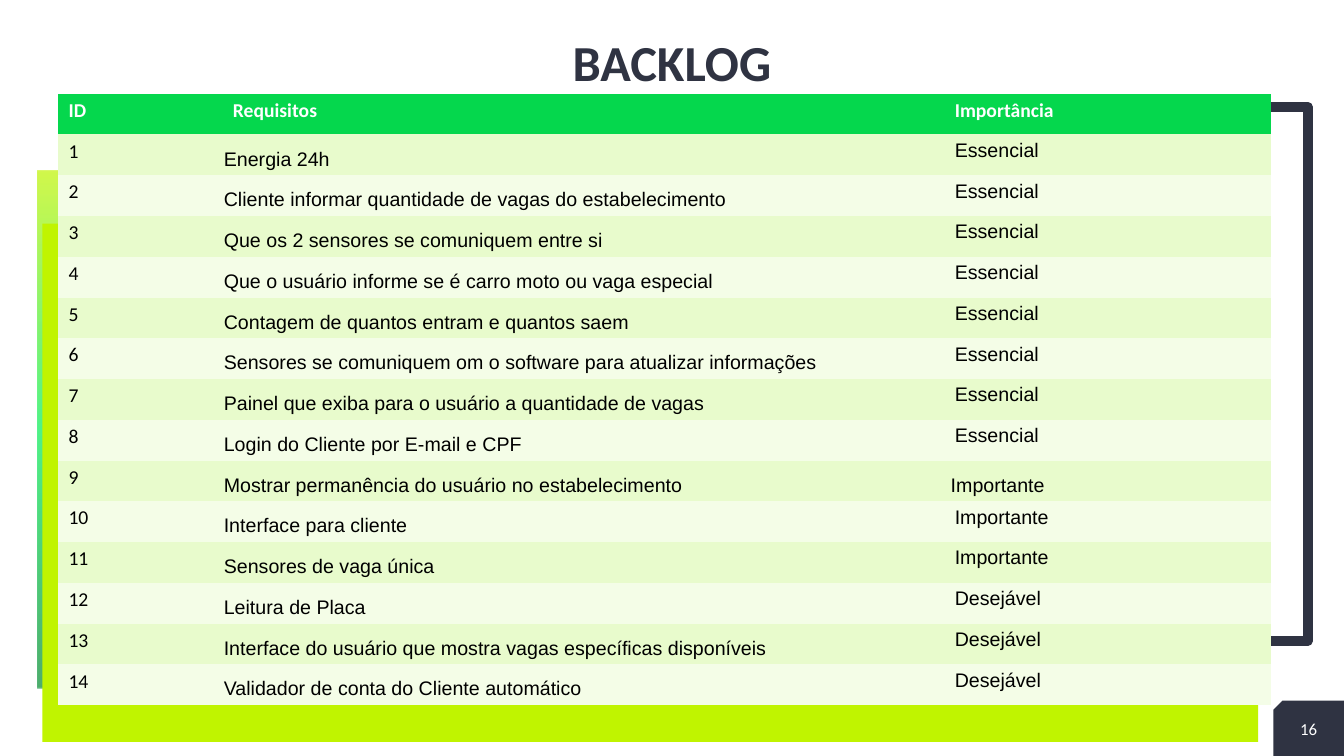
import dataclasses
import lxml.etree
import pptx
import pptx.dml.color
import pptx.enum.shapes
import pptx.enum.text
import pptx.oxml.ns
import pptx.util

PX = 9144
SHAPE = pptx.enum.shapes.MSO_SHAPE
ALIGN = pptx.enum.text.PP_ALIGN
ANCHOR = pptx.enum.text.MSO_ANCHOR
PLAIN = "{2D5ABB26-0587-4C30-8999-92F81FD0307C}"


@dataclasses.dataclass(frozen=True)
class Theme:
    dark: str = "2F3342"
    lime: str = "C0F400"
    green: str = "05D74D"
    white: str = "FFFFFF"
    black: str = "000000"
    bands: tuple = ("E8FBCC", "F4FDE7")
    fade: tuple = ((0, "038B30"), (50, "05EE55"), (100, "C0F400"))
    solid: int = 70
    head: str = "Calibri"
    body: str = "Arial"
    title: int = 36
    text: int = 14
    small: int = 12
    frame: int = 7


THEME = Theme()
COLUMNS = (163, 716, 324)
HEADER = ("ID", "Requisitos", "Importância")
ITEMS = (
    ("Energia 24h", "Essencial"),
    ("Cliente informar quantidade de vagas do estabelecimento", "Essencial"),
    ("Que os 2 sensores se comuniquem entre si", "Essencial"),
    ("Que o usuário informe se é carro moto ou vaga especial", "Essencial"),
    ("Contagem de quantos entram e quantos saem", "Essencial"),
    ("Sensores se comuniquem om o software para atualizar informações", "Essencial"),
    ("Painel que exiba para o usuário a quantidade de vagas", "Essencial"),
    ("Login do Cliente por E-mail e CPF", "Essencial"),
    ("Mostrar permanência do usuário no estabelecimento", "Importante"),
    ("Interface para cliente", "Importante"),
    ("Sensores de vaga única", "Importante"),
    ("Leitura de Placa", "Desejável"),
    ("Interface do usuário que mostra vagas específicas disponíveis", "Desejável"),
    ("Validador de conta do Cliente automático", "Desejável"),
)
SHIFTED = 9


def put(item, values):
    for name, value in values.items():
        setattr(item, name, value)


def color(code):
    return pptx.dml.color.RGBColor.from_string(code)


def paint(fill, code):
    fill.solid()
    fill.fore_color.rgb = color(code)


def write(frame, text, size, code, face, bold=False, **format):
    line = frame.paragraphs[0]
    put(line, format)
    run = line.add_run()
    run.text = text
    put(run.font, {"size": pptx.util.Pt(size), "name": face, "bold": bold})
    run.font.color.rgb = color(code)


def block(slide, kind, box, fill=None):
    shape = slide.shapes.add_shape(kind, *(n * PX for n in box))
    shape.shadow.inherit = False
    shape.line.fill.background()
    if fill:
        paint(shape.fill, fill)
    else:
        shape.fill.background()
    return shape


def fade(shape):
    tag = pptx.oxml.ns.qn
    shape.fill.gradient()
    shape.fill.gradient_angle = 90
    stops = next(shape._element.spPr.iter(tag("a:gsLst")))
    for stop in list(stops):
        stops.remove(stop)
    for place, code in THEME.fade:
        stop = lxml.etree.SubElement(stops, tag("a:gs"), pos=str(place * 1000))
        tint = lxml.etree.SubElement(stop, tag("a:srgbClr"), val=code)
        lxml.etree.SubElement(tint, tag("a:alpha"), val=str(THEME.solid * 1000))


def label(slide, box, text, size, code, **format):
    frame = slide.shapes.add_textbox(*(n * PX for n in box)).text_frame
    put(frame, {"word_wrap": True, "vertical_anchor": ANCHOR.MIDDLE})
    write(frame, text, size, code, THEME.head, alignment=ALIGN.CENTER, **format)


def lower(cell, left):
    put(cell, {"vertical_anchor": ANCHOR.BOTTOM, "margin_left": left * PX,
               "margin_right": PX, "margin_top": PX, "margin_bottom": 5 * PX})


def backlog(slide, box):
    rows = [HEADER] + [(str(n), *item) for n, item in enumerate(ITEMS, 1)]
    frame = slide.shapes.add_table(len(rows), len(COLUMNS), *(n * PX for n in box))
    table = frame.table
    put(table, {"first_row": False, "horz_banding": False})
    next(table._tbl.iter(pptx.oxml.ns.qn("a:tableStyleId"))).text = PLAIN
    for column, width in zip(table.columns, COLUMNS):
        column.width = width * PX
    for r, row in enumerate(rows):
        table.rows[r].height = box[3] * PX // len(rows)
        for c, text in enumerate(row):
            cell = table.cell(r, c)
            top = r == 0
            paint(cell.fill, THEME.green if top else THEME.bands[(r - 1) % 2])
            write(cell.text_frame, text, THEME.text,
                  THEME.white if top else THEME.black,
                  THEME.head if top or c == 0 else THEME.body, top)
            if c == 1 and not top:
                lower(cell, 1)
            elif c == 2 and r == SHIFTED:
                lower(cell, 6)


def main():
    deck = pptx.Presentation()
    put(deck, {"slide_width": pptx.util.Inches(13.33),
               "slide_height": pptx.util.Inches(7.5)})
    slide = deck.slides.add_slide(deck.slide_layouts[6])
    paint(slide.background.fill, THEME.white)
    corner = block(slide, SHAPE.SNIP_1_RECTANGLE, (1263, 695, 70, 55), THEME.dark)
    corner._element.spPr.xfrm.set("flipH", "1")
    fade(block(slide, SHAPE.RECTANGLE, (37, 169, 1206, 514)))
    label(slide, (65, 0, 1203, 130), "BACKLOG", THEME.title, THEME.dark,
          bold=True, line_spacing=0.9)
    border = block(slide, SHAPE.RECTANGLE, (294, 106, 1003, 530))
    paint(border.line.fill, THEME.dark)
    border.line.width = pptx.util.Pt(THEME.frame)
    block(slide, SHAPE.RECTANGLE, (42, 222, 1206, 514), THEME.lime)
    label(slide, (1263, 701, 70, 45), "16", THEME.small, THEME.white)
    backlog(slide, (58, 93, 1203, 607))
    deck.save("out.pptx")


if __name__ == "__main__":
    main()
